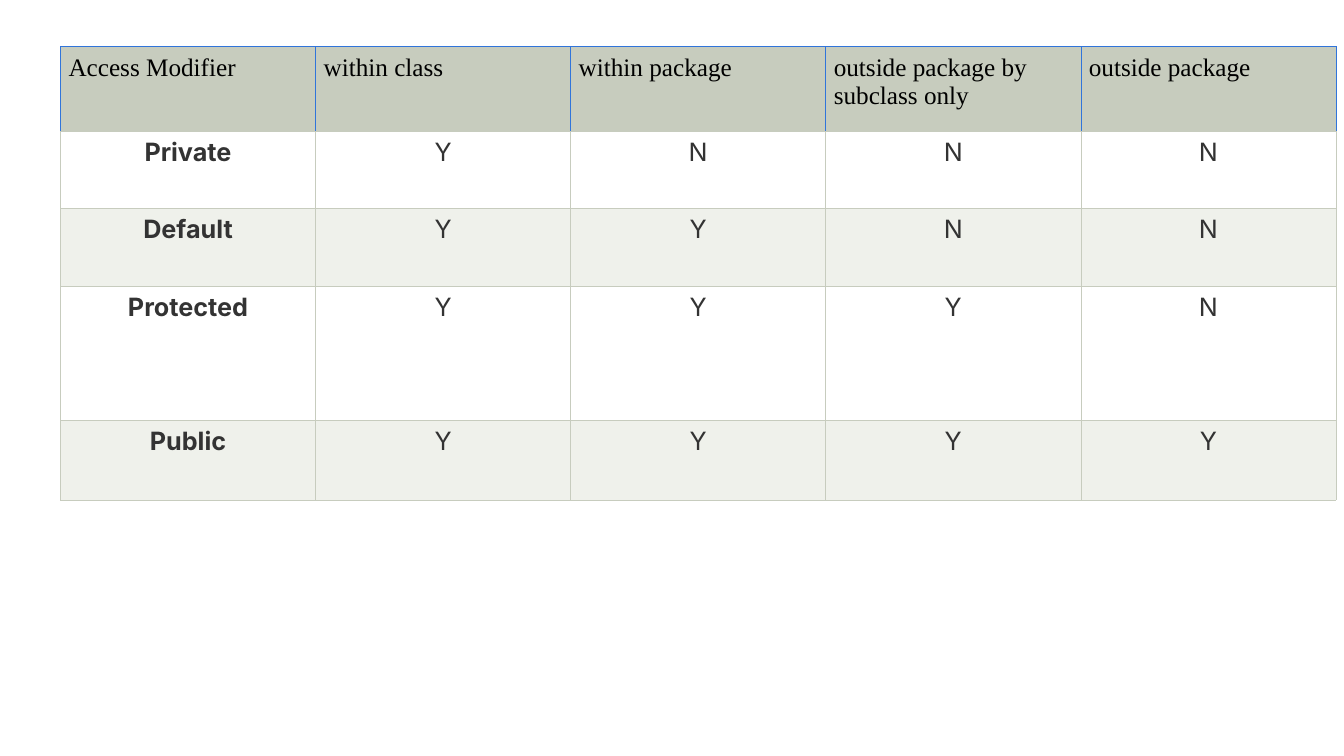
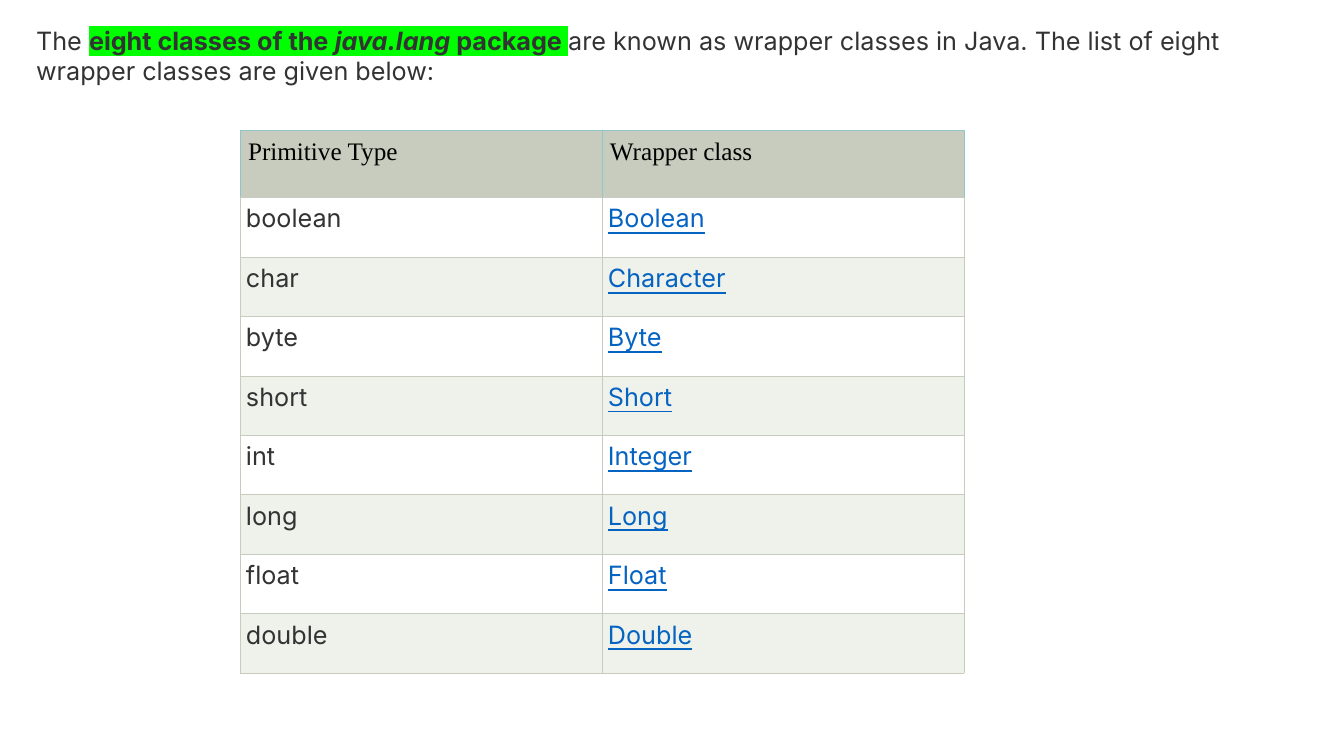
from dataclasses import dataclass

from lxml import etree
from pptx import Presentation
from pptx import util as u
from pptx.dml.color import RGBColor
from pptx.enum import text
from pptx.oxml import ns

# Shared look
SLIDE_WIDTH, SLIDE_HEIGHT = 13.33, 7.5
HEADER_FONT, BODY_FONT = "Times New Roman", "Inter"
FONT_SIZE = 18
BLACK, INK, LINK = "000000", "333333", "0563C1"
GRID, HIGHLIGHT = "C7CCBE", "00FF00"
BANDS = ("FFFFFF", "EFF1EB")
HEADER_INSET, BODY_INSET = 0.08, 0.06
BORDER_WIDTH = 0.5


@dataclass(frozen=True)
class TextStyle:
    font: str = BODY_FONT
    color: str = INK
    bold: bool = False
    underline: bool = False
    align: text.PP_ALIGN = text.PP_ALIGN.LEFT


@dataclass(frozen=True)
class TableSpec:
    left: float
    top: float
    column_width: float
    row_heights: list[float]
    header_border: str
    column_styles: list[TextStyle]
    rows: list[list[str]]


@dataclass(frozen=True)
class Phrase:
    words: str
    marked: bool = False
    italic: bool = False


HEADER_STYLE = TextStyle(HEADER_FONT, BLACK)
CENTER, JUSTIFY = text.PP_ALIGN.CENTER, text.PP_ALIGN.JUSTIFY

ACCESS_TABLE = TableSpec(
    left=0.6, top=0.46, column_width=2.53,
    row_heights=[0.84, 0.77, 0.77, 1.33, 0.79],
    header_border="3074DA",
    column_styles=[TextStyle(bold=True, align=CENTER)] + [TextStyle(align=CENTER)] * 4,
    rows=[
        ["Access Modifier", "within class", "within package",
         "outside package by subclass only", "outside package"],
        ["Private", "Y", "N", "N", "N"],
        ["Default", "Y", "Y", "N", "N"],
        ["Protected", "Y", "Y", "Y", "N"],
        ["Public", "Y", "Y", "Y", "Y"],
    ],
)

WRAPPER_TABLE = TableSpec(
    left=2.38, top=1.29, column_width=3.59,
    row_heights=[0.67] + [0.59] * 8,
    header_border="90C6C9",
    column_styles=[TextStyle(align=JUSTIFY),
                   TextStyle(color=LINK, underline=True, align=JUSTIFY)],
    rows=[
        ["Primitive Type", "Wrapper class"],
        ["boolean", "Boolean"],
        ["char", "Character"],
        ["byte", "Byte"],
        ["short", "Short"],
        ["int", "Integer"],
        ["long", "Long"],
        ["float", "Float"],
        ["double", "Double"],
    ],
)

WRAPPER_INTRO = [
    Phrase("The "),
    Phrase("eight classes of the ", marked=True),
    Phrase("java.lang", marked=True, italic=True),
    Phrase(" package ", marked=True),
    Phrase("are known as wrapper classes in Java. "
           "The list of eight wrapper classes are given below:"),
]


def rgb(color: str) -> RGBColor:
    return RGBColor.from_string(color)


def add_color(parent, tag: str, color: str) -> None:
    holder = etree.SubElement(parent, ns.qn(tag))
    etree.SubElement(holder, ns.qn("a:srgbClr"), val=color)


def style_paragraph(paragraph, style: TextStyle) -> None:
    paragraph.alignment = style.align
    font = paragraph.font
    font.name, font.size = style.font, u.Pt(FONT_SIZE)
    font.bold, font.underline = style.bold, style.underline
    font.color.rgb = rgb(style.color)


# Tables
def set_borders(cell, side_color: str) -> None:
    properties = cell._tc.get_or_add_tcPr()
    colors = {"a:lnL": side_color, "a:lnR": side_color, "a:lnT": side_color, "a:lnB": GRID}
    for tag, color in colors.items():
        line = etree.SubElement(properties, ns.qn(tag), w=str(u.Pt(BORDER_WIDTH)))
        add_color(line, "a:solidFill", color)


def fill_cell(cell, words: str, style: TextStyle, fill: str, border: str, inset: float) -> None:
    set_borders(cell, border)
    cell.fill.solid()
    cell.fill.fore_color.rgb = rgb(fill)
    cell.margin_left = cell.margin_right = u.Inches(inset)
    cell.margin_top = cell.margin_bottom = u.Inches(inset)
    cell.text = words
    style_paragraph(cell.text_frame.paragraphs[0], style)


def draw_table(slide, spec: TableSpec) -> None:
    column_count = len(spec.column_styles)
    frame = slide.shapes.add_table(
        len(spec.rows), column_count, u.Inches(spec.left), u.Inches(spec.top),
        u.Inches(spec.column_width * column_count), u.Inches(sum(spec.row_heights)))
    table = frame.table
    table.first_row = table.horz_banding = False
    for column in table.columns:
        column.width = u.Inches(spec.column_width)
    for row_index, (height, row) in enumerate(zip(spec.row_heights, spec.rows)):
        table.rows[row_index].height = u.Inches(height)
        for column_index, words in enumerate(row):
            cell = table.cell(row_index, column_index)
            if row_index == 0:
                fill_cell(cell, words, HEADER_STYLE, GRID, spec.header_border, HEADER_INSET)
            else:
                fill_cell(cell, words, spec.column_styles[column_index],
                          BANDS[(row_index - 1) % 2], GRID, BODY_INSET)


# Introductory sentence with marked words
def draw_intro(slide, phrases: list[Phrase]) -> None:
    box = slide.shapes.add_textbox(u.Inches(0.26), u.Inches(0.2), u.Inches(12.87), u.Inches(0.71))
    frame = box.text_frame
    frame.word_wrap = True
    frame.auto_size = text.MSO_AUTO_SIZE.SHAPE_TO_FIT_TEXT
    paragraph = frame.paragraphs[0]
    style_paragraph(paragraph, TextStyle())
    for phrase in phrases:
        run = paragraph.add_run()
        run.text = phrase.words
        run.font.bold, run.font.italic = phrase.marked, phrase.italic
        if phrase.marked:
            add_color(run._r.get_or_add_rPr(), "a:highlight", HIGHLIGHT)


def main() -> None:
    presentation = Presentation()
    presentation.slide_width = u.Inches(SLIDE_WIDTH)
    presentation.slide_height = u.Inches(SLIDE_HEIGHT)
    blank = presentation.slide_layouts[6]

    # Access modifiers
    draw_table(presentation.slides.add_slide(blank), ACCESS_TABLE)

    # Wrapper classes
    wrapper_slide = presentation.slides.add_slide(blank)
    draw_intro(wrapper_slide, WRAPPER_INTRO)
    draw_table(wrapper_slide, WRAPPER_TABLE)

    presentation.save("out.pptx")


if __name__ == "__main__":
    main()
